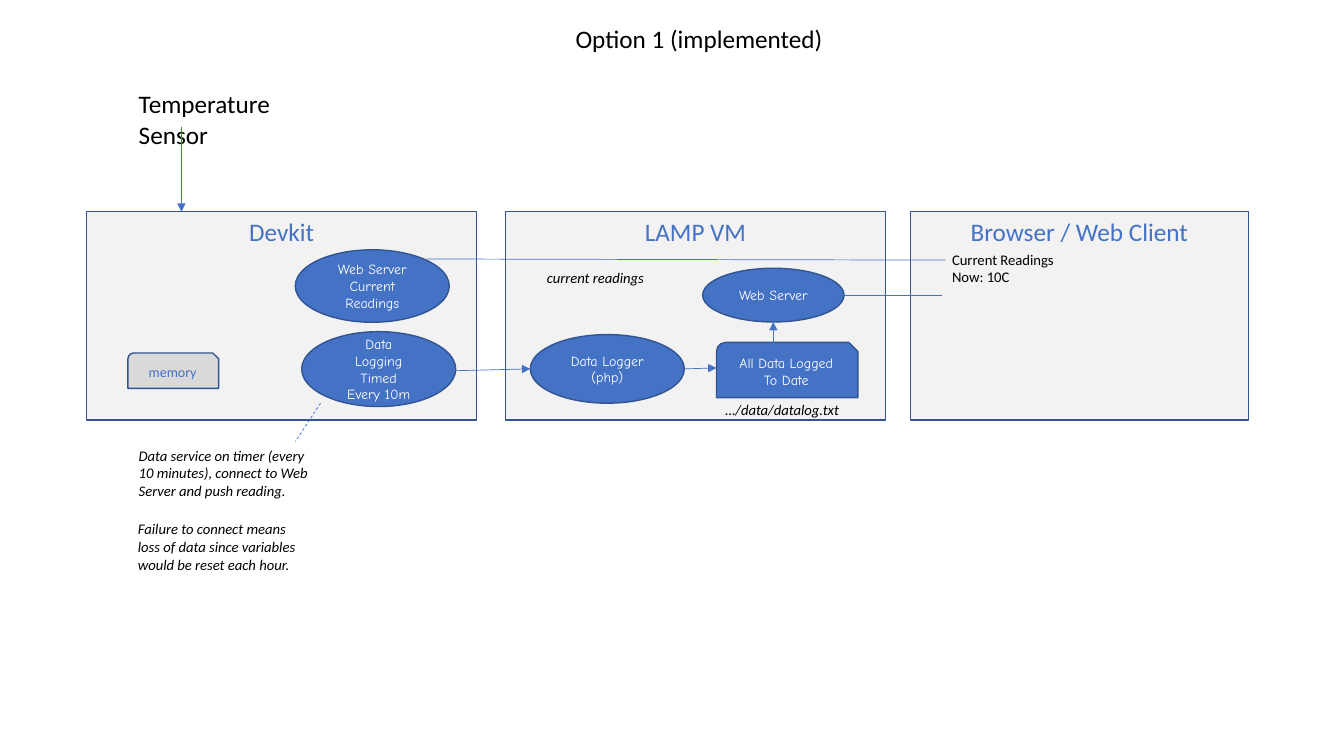
import pptx
import pptx.dml.color
import pptx.enum.dml
import pptx.enum.shapes
import pptx.enum.text
import pptx.oxml
import pptx.util

Pt = pptx.util.Pt
SHAPES = pptx.enum.shapes.MSO_SHAPE
ALIGN = pptx.enum.text.PP_ALIGN
ANCHOR = pptx.enum.text.MSO_ANCHOR

COLORS = {
    "panel": "F2F2F2",
    "memory": "D9D9D9",
    "accent": "4472C4",
    "outline": "325491",
    "ink": "000000",
    "white": "FFFFFF",
}
PANEL_TOP, PANEL_HEIGHT = 151.2, 149


def rgb(name):
    return pptx.dml.color.RGBColor.from_string(COLORS[name])


def write(frame, text, size=10.5, font="Calibri", color="ink", italic=False,
          align=ALIGN.LEFT, anchor=ANCHOR.TOP):
    frame.word_wrap = True
    frame.vertical_anchor = anchor
    for index, line in enumerate(text.split("\n")):
        paragraph = frame.add_paragraph() if index else frame.paragraphs[0]
        paragraph.alignment = align
        run = paragraph.add_run()
        run.text = line
        run.font.size = Pt(size)
        run.font.name = font
        run.font.italic = italic
        run.font.color.rgb = rgb(color)


def add_label(slide, text, left, top, width, height, **text_format):
    label = slide.shapes.add_textbox(Pt(left), Pt(top), Pt(width), Pt(height))
    write(label.text_frame, text, **text_format)
    label.text_frame.auto_size = pptx.enum.text.MSO_AUTO_SIZE.SHAPE_TO_FIT_TEXT


def add_block(slide, kind, text, left, top, width, height, fill, **text_format):
    block = slide.shapes.add_shape(kind, Pt(left), Pt(top), Pt(width), Pt(height))
    block.shadow.inherit = False
    block.fill.solid()
    block.fill.fore_color.rgb = rgb(fill)
    block.line.color.rgb = rgb("outline")
    block.line.width = Pt(1)
    write(block.text_frame, text, align=ALIGN.CENTER, **text_format)


def add_panel(slide, title, left, width):
    add_block(slide, SHAPES.RECTANGLE, title, left, PANEL_TOP, width, PANEL_HEIGHT,
              "panel", size=18, color="accent")


def add_node(slide, text, left, top, width, height, kind=SHAPES.OVAL):
    add_block(slide, kind, text, left, top, width, height, "accent", size=10,
              font="Comic Neue", color="white", anchor=ANCHOR.MIDDLE)


def add_link(slide, x1, y1, x2, y2, arrow=False, dashed=False):
    link = slide.shapes.add_connector(
        pptx.enum.shapes.MSO_CONNECTOR.STRAIGHT, Pt(x1), Pt(y1), Pt(x2), Pt(y2))
    link.line.color.rgb = rgb("accent")
    link.line.width = Pt(0.5)
    if dashed:
        link.line.dash_style = pptx.enum.dml.MSO_LINE.DASH
    if arrow:
        link.line._get_or_add_ln().append(pptx.oxml.parse_xml(
            '<a:tailEnd xmlns:a="http://schemas.openxmlformats.org/drawingml/2006/main"'
            ' type="triangle"/>'))
    link._element.spPr.append(pptx.oxml.parse_xml(
        '<a:effectLst xmlns:a="http://schemas.openxmlformats.org/drawingml/2006/main"/>'))


def main():
    deck = pptx.Presentation()
    deck.slide_width, deck.slide_height = Pt(960), Pt(540)
    slide = deck.slides.add_slide(deck.slide_layouts[6])

    add_panel(slide, "Browser / Web Client", 650.2, 241.5)
    add_panel(slide, "Devkit", 61.9, 278.6)
    add_panel(slide, "LAMP VM", 361.1, 271.4)

    add_node(slide, "Data\nLogging\nTimed\nEvery 10m", 215.5, 236.9, 110, 53.5)
    add_node(slide, "Web Server\nCurrent Readings", 210.9, 178.4, 110, 51.8)
    add_node(slide, "Web Server", 501.9, 191.6, 101, 38.4)
    add_node(slide, "Data Logger\n(php)", 378.8, 239, 110, 49)
    add_node(slide, "All Data Logged\nTo Date", 511.8, 244.6, 101, 39.4,
             kind=SHAPES.SNIP_ROUND_RECTANGLE)
    add_block(slide, SHAPES.SNIP_ROUND_RECTANGLE, "memory", 91.4, 252.1, 64.8, 25.3,
              "memory", size=10, color="accent", anchor=ANCHOR.MIDDLE)

    add_label(slide, "Option 1 (implemented)", 365.8, 13, 267, 29,
              size=18, align=ALIGN.CENTER)
    add_label(slide, "Temperature\nSensor", 92, 59.8, 108.7, 51, size=18)
    add_label(slide, "Current Readings\nNow: 10C", 673, 175.5, 88.6, 32.4)
    add_label(slide, "current readings", 383.5, 188.6, 116.6, 20, italic=True)
    add_label(slide, "…/data/datalog.txt", 511, 283, 203, 20, italic=True)
    add_label(slide, "Data service on timer (every 10 minutes), connect to Web Server "
              "and push reading.", 92, 315.4, 137.5, 45.4, italic=True)
    add_label(slide, "Failure to connect means loss of data since variables would be "
              "reset each hour.", 91.4, 368, 137.5, 45.4, italic=True)

    add_link(slide, 129.6, 90.7, 129.6, PANEL_TOP, arrow=True)
    add_link(slide, 325.5, 264.8, 378.8, 263.5, arrow=True)
    add_link(slide, 488.8, 263.5, 511.8, 262.8, arrow=True)
    add_link(slide, 552.4, 246, 552.4, 230, arrow=True)
    add_link(slide, 673, 211, 602.9, 211)
    add_link(slide, 675.4, 185.8, 304.6, 185)
    add_link(slide, 229, 288, 211, 315.4, dashed=True)

    deck.save("out.pptx")


if __name__ == "__main__":
    main()
